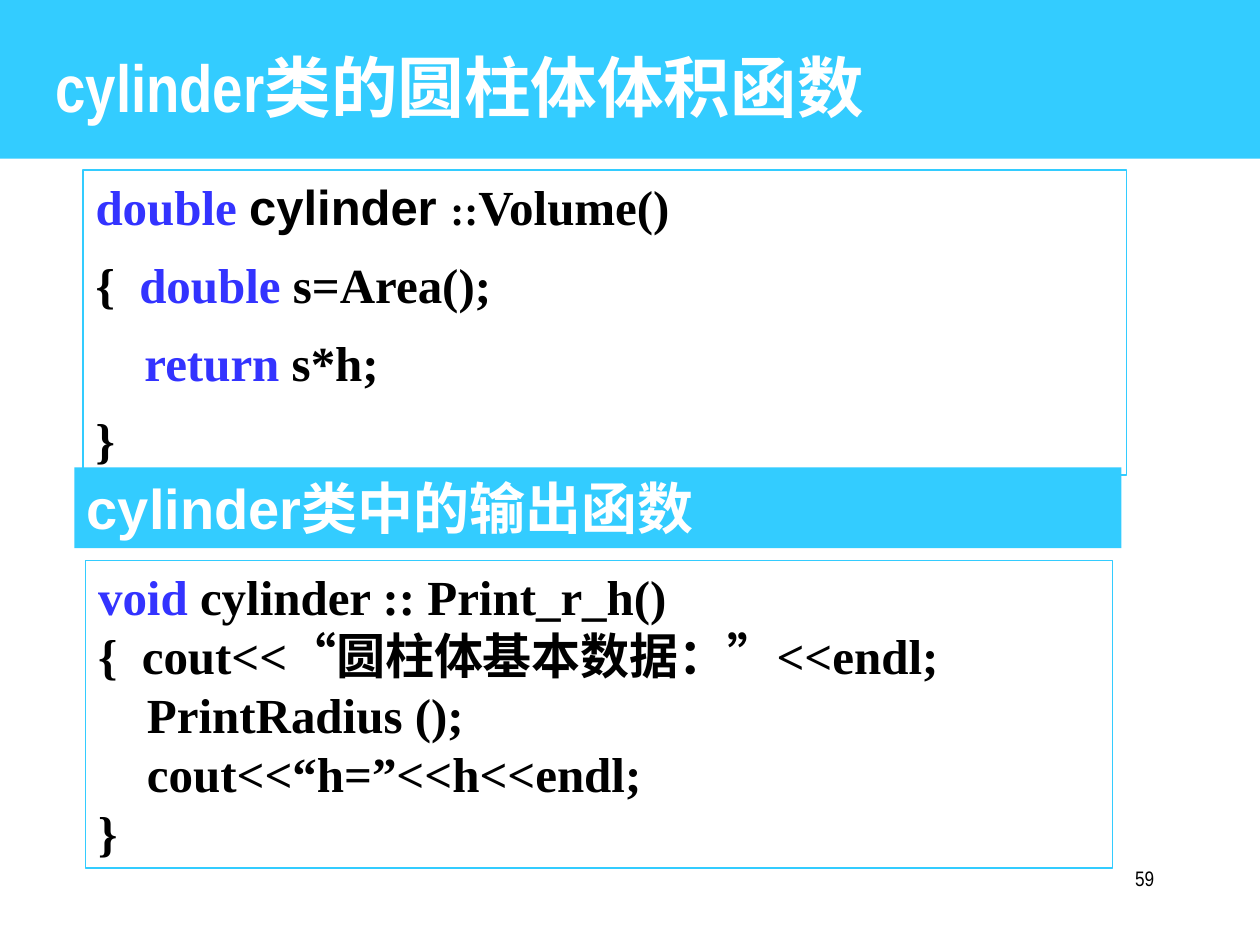
from pptx import Presentation
from pptx.dml.color import RGBColor
from pptx.enum.shapes import MSO_SHAPE
from pptx.enum.text import MSO_ANCHOR, PP_ALIGN
from pptx.util import Inches, Pt

SKY, BLUE, BLACK, WHITE = "33CCFF", "3333FF", "000000", "FFFFFF"
SERIF, SANS, NARROW = "Times New Roman", "Arial", "Arial Narrow"


def rgb(code):
    return RGBColor.from_string(code)


class Deck:
    """Holds the style and the current slide."""

    def __init__(self):
        self.prs = Presentation()
        self.prs.slide_width, self.prs.slide_height = Inches(10), Inches(7.5)
        self.slide = self.prs.slides.add_slide(self.prs.slide_layouts[5])

    def place(self, shape, box):
        shape.left, shape.top, shape.width, shape.height = map(Inches, box)

    def frame(self, shape, anchor=MSO_ANCHOR.TOP, side=0.1, edge=0.05):
        frame = shape.text_frame
        frame.word_wrap = True
        frame.vertical_anchor = anchor
        frame.margin_left = frame.margin_right = Inches(side)
        frame.margin_top = frame.margin_bottom = Inches(edge)
        return frame

    def style(self, para, size, face, color, bold=True, align=PP_ALIGN.LEFT):
        para.alignment = align
        font = para.font
        font.size, font.name, font.bold = Pt(size), face, bold
        font.color.rgb = rgb(color)

    def rect(self, box, fill=None, line=None):
        shape = self.slide.shapes.add_shape(MSO_SHAPE.RECTANGLE, *map(Inches, box))
        shape.shadow.inherit = False
        if fill:
            shape.fill.solid()
            shape.fill.fore_color.rgb = rgb(fill)
        else:
            shape.fill.background()
        if line:
            shape.line.color.rgb = rgb(line)
            shape.line.width = Pt(0.75)
        else:
            shape.line.fill.background()
        return shape

    def title(self, text, box):
        shape = self.slide.shapes.title
        self.slide.shapes._spTree.append(shape._element)  # in front of the band
        self.place(shape, box)
        frame = self.frame(shape, MSO_ANCHOR.MIDDLE, 0.09, 0.04)
        frame.text = text
        self.style(frame.paragraphs[0], 38, NARROW, WHITE)

    def heading(self, text, box):
        frame = self.frame(self.rect(box, fill=SKY))
        frame.text = text
        self.style(frame.paragraphs[0], 32, SANS, WHITE)

    def code(self, lines, box, before=0, pitch=1.0):
        """Each line is a list of (text, changes to the run's font)."""
        frame = self.frame(self.rect(box, line=SKY))
        for i, parts in enumerate(lines):
            para = frame.add_paragraph() if i else frame.paragraphs[0]
            if i:
                para.space_before, para.line_spacing = Pt(before), pitch
            self.style(para, 28, SERIF, BLACK)
            for text, look in parts:
                run = para.add_run()
                run.text = text
                if "color" in look:
                    run.font.color.rgb = rgb(look["color"])
                if "size" in look:
                    run.font.size = Pt(look["size"])
                if "face" in look:
                    run.font.name = look["face"]

    def number(self, text, box):
        shape = self.slide.shapes.add_textbox(*map(Inches, box))
        frame = self.frame(shape, side=0.09, edge=0.04)
        frame.text = text
        self.style(frame.paragraphs[0], 12, NARROW, BLACK, False, PP_ALIGN.RIGHT)


def main():
    plain, key = {}, {"color": BLUE}
    volume = [
        [("double ", key), ("cylinder ", {"face": SANS}),
         ("::", {"size": 24}), ("Volume()", plain)],
        [("{  ", plain), ("double", key), (" s=Area();", plain)],
        [("    return", key), (" s*h;", plain)],
        [("}", plain)],
    ]
    output = [
        [("void", key), (" cylinder :: Print_r_h()", plain)],
        [("{  cout<<“圆柱体基本数据：”<<endl;", plain)],
        [("    PrintRadius ();", plain)],
        [("    cout<<“h=”<<h<<endl;", plain)],
        [("}", plain)],
    ]
    deck = Deck()
    deck.rect((0, 0, 10, 1.26), fill=SKY)
    deck.number("59", (7.17, 6.83, 2.08, 0.5))
    deck.code(volume, (0.66, 1.35, 8.28, 2.42), before=17.5, pitch=0.8)
    deck.code(output, (0.68, 4.45, 8.15, 2.44))
    deck.heading("cylinder类中的输出函数", (0.59, 3.71, 8.31, 0.64))
    deck.title("cylinder类的圆柱体体积函数", (0.35, 0.22, 9.21, 0.93))
    deck.prs.save("out.pptx")


if __name__ == "__main__":
    main()
